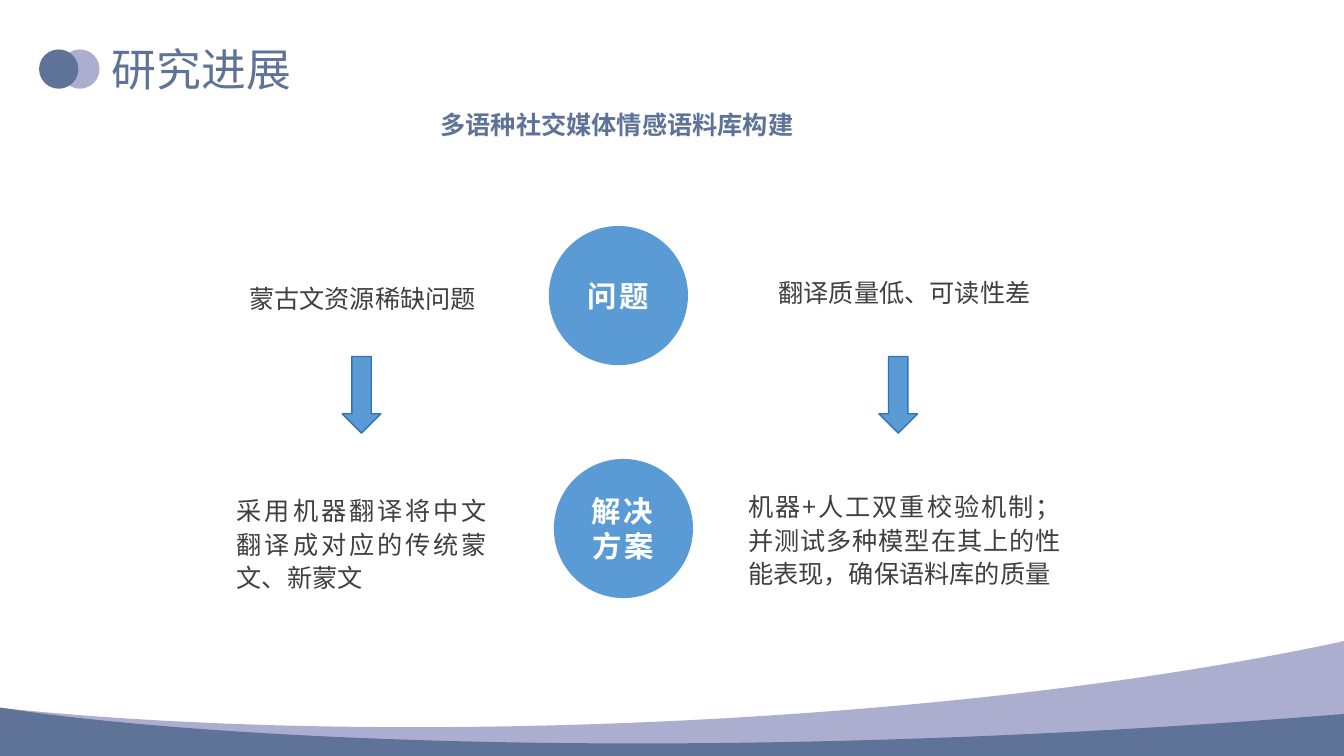
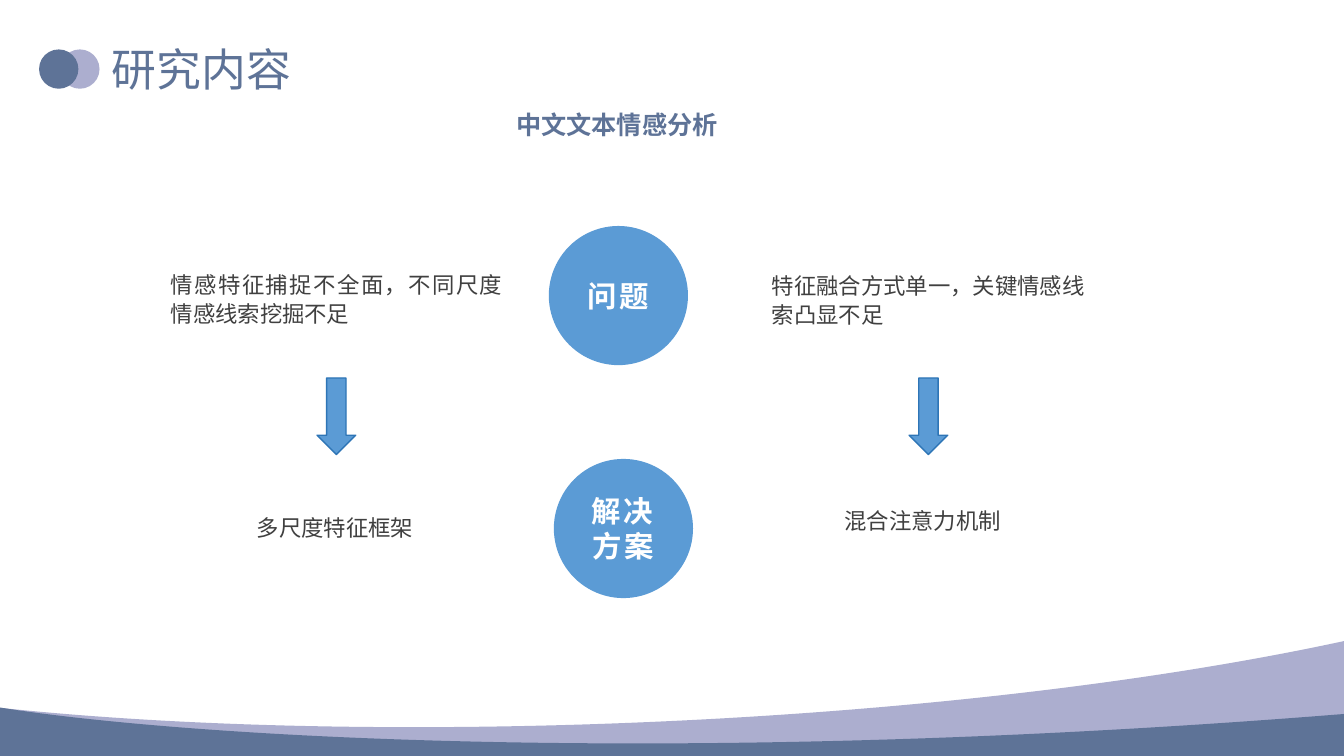
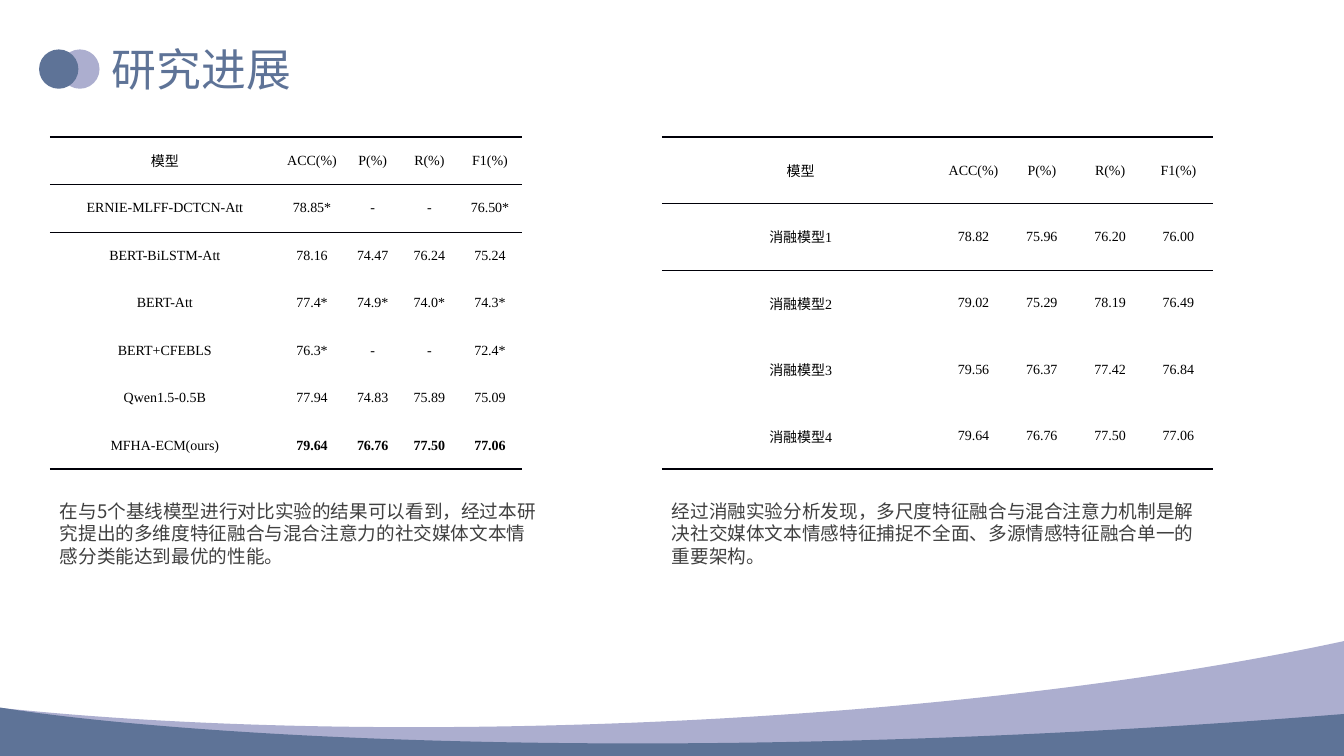
from dataclasses import dataclass

from lxml import etree
from pptx import Presentation
from pptx.dml.color import RGBColor
from pptx.enum.shapes import MSO_SHAPE
from pptx.enum.text import MSO_ANCHOR, MSO_AUTO_SIZE, PP_ALIGN
from pptx.oxml.ns import qn
from pptx.util import Pt

OVAL, DOWN_ARROW = MSO_SHAPE.OVAL, MSO_SHAPE.DOWN_ARROW
LEFT, CENTER, RIGHT, JUSTIFY = PP_ALIGN.LEFT, PP_ALIGN.CENTER, PP_ALIGN.RIGHT, PP_ALIGN.JUSTIFY
TOP, MIDDLE = MSO_ANCHOR.TOP, MSO_ANCHOR.MIDDLE
GROW = MSO_AUTO_SIZE.SHAPE_TO_FIT_TEXT
PLAIN_TABLE = "{2D5ABB26-0587-4C30-8999-92F81FD0307C}"


@dataclass(frozen=True)
class Theme:
    navy: str = "5E7397"
    lilac: str = "ACAECF"
    blue: str = "5B9BD5"
    blue_edge: str = "2E75B6"
    body: str = "404040"
    white: str = "FFFFFF"
    black: str = "000000"
    rule: str = "000008"
    font: str = "Noto Sans CJK SC"
    label_font: str = "Arial"
    table_font: str = "Times New Roman"
    title_size: float = 32
    label_size: float = 21
    heading_size: float = 18
    note_size: float = 13.3
    table_size: float = 10


THEME = Theme()
WIDTH, HEIGHT = 960, 540

# Content: notes are (text, (left, top, width, height), alignment)
DIAGRAMS = [
    dict(title="研究进展", heading="多语种社交媒体情感语料库构建", size=18,
         notes=[
             ("蒙古文资源稀缺问题", (169.9, 196.9, 177.1, 28.8), RIGHT),
             ("翻译质量低、可读性差", (527.3, 192.2, 237.6, 51), CENTER),
             ("采用机器翻译将中文翻译成对应的传统蒙文、新蒙文", (162, 348.3, 193, 28.8), JUSTIFY),
             ("机器+人工双重校验机制；并测试多种模型在其上的性能表现，确保语料库的质量",
              (527.3, 345.6, 237.6, 31), JUSTIFY),
         ],
         arrow_lefts=(244.5, 627.8), arrow_top=254.7),
    dict(title="研究内容", heading="中文文本情感分析", size=16,
         notes=[
             ("情感特征捕捉不全面，不同尺度情感线索挖掘不足", (114.9, 187.9, 251.3, 58.3), JUSTIFY),
             ("特征融合方式单一，关键情感线索凸显不足", (544.3, 188.8, 237.6, 51), JUSTIFY),
             ("多尺度特征框架", (176.4, 361.7, 128.2, 28.8), JUSTIFY),
             ("混合注意力机制", (596.2, 357.1, 133.2, 31), JUSTIFY),
         ],
         arrow_lefts=(226.5, 649.4), arrow_top=270),
]
CIRCLES = [("问题", 392, 161.4), ("解决方案", 395.6, 327.8)]

METRICS = ["模型", "ACC(%)", "P(%)", "R(%)", "F1(%)"]
RESULTS_TITLE = "研究进展"
RESULTS = [
    dict(left=35.6, columns=[164.2, 46.2, 40.5, 40.5, 46.2], note_width=358, bold_last=True,
         rows=[
             METRICS,
             ["ERNIE-MLFF-DCTCN-Att", "78.85*", "-", "-", "76.50*"],
             ["BERT-BiLSTM-Att", "78.16", "74.47", "76.24", "75.24"],
             ["BERT-Att", "77.4*", "74.9*", "74.0*", "74.3*"],
             ["BERT+CFEBLS", "76.3*", "-", "-", "72.4*"],
             ["Qwen1.5-0.5B", "77.94", "74.83", "75.89", "75.09"],
             ["MFHA-ECM(ours)", "79.64", "76.76", "77.50", "77.06"],
         ],
         note="在与5个基线模型进行对比实验的结果可以看到，经过本研究提出的多维度特征融合与"
              "混合注意力的社交媒体文本情感分类能达到最优的性能。"),
    dict(left=472.8, columns=[198.2, 48.8, 48.8, 48.8, 48.8], note_width=393.8, bold_last=False,
         rows=[
             METRICS,
             ["消融模型1", "78.82", "75.96", "76.20", "76.00"],
             ["消融模型2", "79.02", "75.29", "78.19", "76.49"],
             ["消融模型3", "79.56", "76.37", "77.42", "76.84"],
             ["消融模型4", "79.64", "76.76", "77.50", "77.06"],
         ],
         note="经过消融实验分析发现，多尺度特征融合与混合注意力机制是解决社交媒体文本情感特征"
              "捕捉不全面、多源情感特征融合单一的重要架构。"),
]
TABLE_TOP, TABLE_HEIGHT, NOTE_TOP = 97.9, 237.4, 353.6

# Footer waves: one point in a step is a line, three are a curve
WAVES = [
    dict(fill=THEME.lilac, start=(960, 457.9), bottom=531.4, steps=[
        [(960, 510.5)],
        [(468, 549.4), (123.1, 525.6), (0, 506.2)],
        [(0, 505.6)],
        [(270.7, 534.2), (679.7, 518.4), (960, 457.9)],
    ]),
    dict(fill=THEME.navy, start=(0, 505.4), bottom=HEIGHT, steps=[
        [(123.1, 524.9), (468, 549.4), (960, 510)],
        [(WIDTH, HEIGHT)],
        [(0, HEIGHT)],
    ]),
]


# Helpers
def color(value):
    return RGBColor.from_string(value)


def write(frame, text, *, size, ink, font=THEME.font, bold=False, align=LEFT,
          anchor=TOP, line_spacing=None, tracking=0):
    frame.word_wrap = True
    frame.vertical_anchor = anchor
    para = frame.paragraphs[0]
    para.alignment = align
    if line_spacing:
        para.line_spacing = line_spacing
    span = para.add_run()
    span.text = text
    span.font.size = Pt(size)
    span.font.bold = bold
    span.font.name = font
    span.font.color.rgb = color(ink)
    properties = span.font._element
    etree.SubElement(properties, qn("a:ea"), typeface=THEME.font)
    if tracking:
        properties.set("spc", str(tracking * 100))


def add_text(page, text, place, grow=False, **style):
    box = page.shapes.add_textbox(*map(Pt, place))
    write(box.text_frame, text, **style)
    if grow:
        box.text_frame.auto_size = GROW


def paint(shape, fill, edge=None):
    shape.shadow.inherit = False
    shape.fill.solid()
    shape.fill.fore_color.rgb = color(fill)
    if edge:
        shape.line.color.rgb = color(edge)
        shape.line.width = Pt(1)
    else:
        shape.line.fill.background()


def add_preset(page, kind, place, fill, edge=None):
    shape = page.shapes.add_shape(kind, *map(Pt, place))
    paint(shape, fill, edge)
    return shape


def add_wave(page, wave):
    start, *points = [(Pt(x), Pt(y)) for x, y in [wave["start"], *sum(wave["steps"], [])]]
    builder = page.shapes.build_freeform(*start)
    builder.add_line_segments(points, close=True)
    shape = builder.convert_to_shape()
    paint(shape, wave["fill"])
    # Control points may lie outside the frame, so the frame ends at the visible bottom
    shape.height = Pt(wave["bottom"]) - shape.top
    outline = next(shape._element.iter(qn("a:path")))
    outline.set("h", str(shape.height))
    # Merge the three lines of each curved step into one Bezier segment
    lines = iter(outline.findall(qn("a:lnTo")))
    for step in wave["steps"]:
        parts = [next(lines) for _ in step]
        if len(parts) == 3:
            bend = etree.Element(qn("a:cubicBezTo"))
            parts[0].addprevious(bend)
            for part in parts:
                bend.append(part[0])
                outline.remove(part)


def add_border(cell, side, width):
    line = etree.SubElement(cell._tc.get_or_add_tcPr(), qn("a:" + side), w=str(Pt(width)))
    fill = etree.SubElement(line, qn("a:solidFill"))
    etree.SubElement(fill, qn("a:srgbClr"), val=THEME.rule)


# Parts shared by all slides
def add_page(deck, title):
    page = deck.slides.add_slide(deck.slide_layouts[6])
    add_text(page, title, (72.7, 26.6, 300.2, 46), grow=True,
             size=THEME.title_size, ink=THEME.navy)
    for left, fill in ((43, THEME.lilac), (27.9, THEME.navy)):
        add_preset(page, OVAL, (left, 35.3, 28.1, 28.1), fill)
    for wave in WAVES:
        add_wave(page, wave)
    return page


# Problem and solution slides
def add_diagram(deck, diagram):
    page = add_page(deck, diagram["title"])
    add_text(page, diagram["heading"], (280.8, 74.2, 319.7, 28.8), grow=True,
             size=THEME.heading_size, ink=THEME.navy, bold=True, align=CENTER)
    for text, place, align in diagram["notes"]:
        add_text(page, text, place, size=diagram["size"], ink=THEME.body,
                 align=align, line_spacing=1.1)
    for text, left, top in CIRCLES:
        circle = add_preset(page, OVAL, (left, top, 99.4, 99.4), THEME.blue)
        write(circle.text_frame, text, size=THEME.label_size, ink=THEME.white,
              font=THEME.label_font, bold=True, align=CENTER, anchor=MIDDLE, tracking=2)
    for left in diagram["arrow_lefts"]:
        add_preset(page, DOWN_ARROW, (left, diagram["arrow_top"], 27.6, 54.7),
                   THEME.blue, THEME.blue_edge)


# Results slide
def add_result_table(page, result):
    rows, columns = result["rows"], result["columns"]
    last = len(rows) - 1
    place = (result["left"], TABLE_TOP, sum(columns), TABLE_HEIGHT)
    table = page.shapes.add_table(len(rows), len(columns), *map(Pt, place)).table
    table.first_row = table.horz_banding = False
    next(table._tbl.iter(qn("a:tableStyleId"))).text = PLAIN_TABLE
    for column, width in zip(table.columns, columns):
        column.width = Pt(width)
    for r, values in enumerate(rows):
        table.rows[r].height = Pt(TABLE_HEIGHT / len(rows))
        for c, text in enumerate(values):
            cell = table.cell(r, c)
            cell.margin_left = cell.margin_right = Pt(5)
            cell.margin_top = cell.margin_bottom = Pt(3)
            write(cell.text_frame, text, size=THEME.table_size, ink=THEME.black,
                  font=THEME.table_font, align=CENTER,
                  bold=result["bold_last"] and r == last and c > 0)
            cell.vertical_anchor = MIDDLE
            if r < 2:
                add_border(cell, "lnT", 1.5 if r == 0 else 0.5)
            if r in (0, last):
                add_border(cell, "lnB", 0.5 if r == 0 else 1.5)
            cell.fill.background()


def add_results(deck):
    page = add_page(deck, RESULTS_TITLE)
    for result in RESULTS:
        add_result_table(page, result)
    for result in RESULTS:
        add_text(page, result["note"], (result["left"], NOTE_TOP, result["note_width"], 56.2),
                 grow=True, size=THEME.note_size, ink=THEME.body)


def main():
    deck = Presentation()
    deck.slide_width, deck.slide_height = Pt(WIDTH), Pt(HEIGHT)
    for diagram in DIAGRAMS:
        add_diagram(deck, diagram)
    add_results(deck)
    deck.save("out.pptx")


if __name__ == "__main__":
    main()
